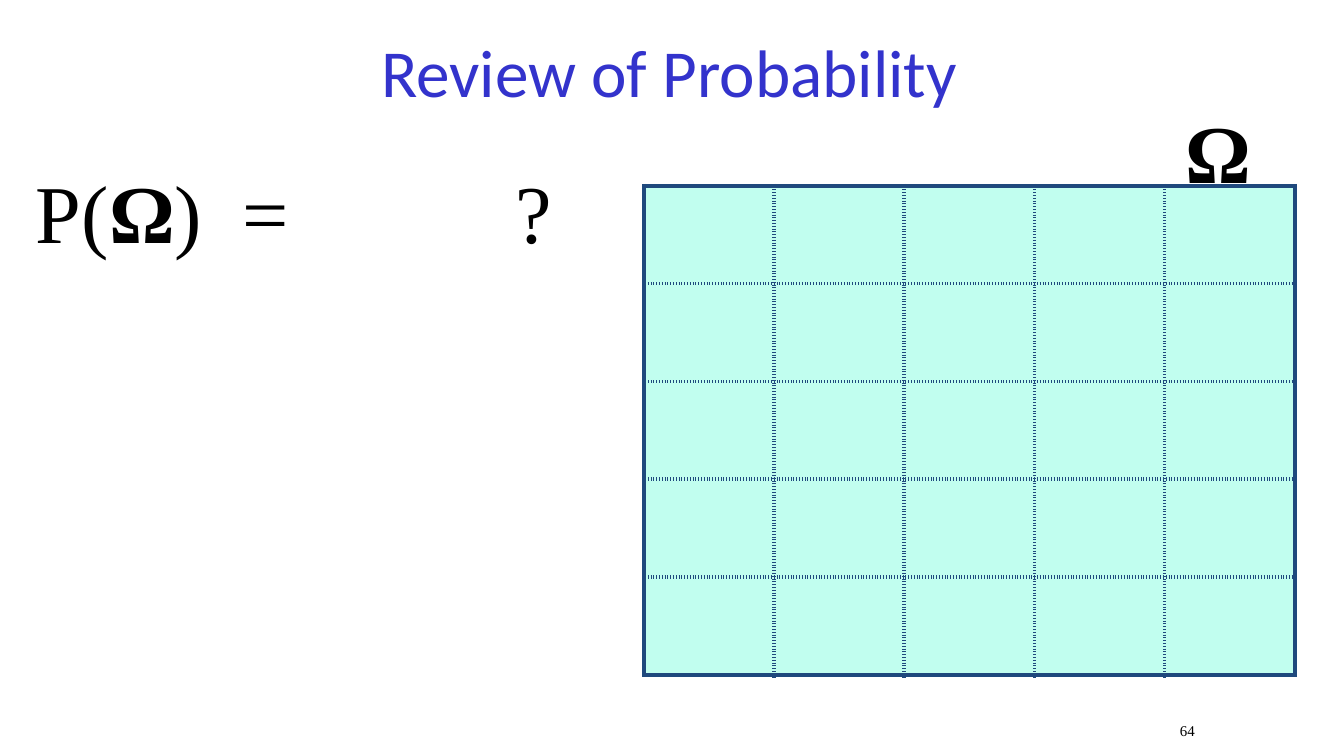
from lxml import etree
from pptx import Presentation
from pptx.dml.color import RGBColor
from pptx.enum import text
from pptx.oxml import ns
from pptx.util import Cm, Pt

BLACK = RGBColor(0x00, 0x00, 0x00)
TITLE_BLUE = RGBColor(0x33, 0x33, 0xCC)
GRID_BLUE = RGBColor(0x1F, 0x49, 0x7D)
MINT = RGBColor(0xC1, 0xFE, 0xEF)
SERIF = "Times New Roman"
SANS = "Calibri"
CENTER = text.PP_ALIGN.CENTER


def add_text(s, box, runs, size, font=SERIF, color=BLACK, align=None,
             anchor=text.MSO_ANCHOR.TOP, tabs=()):
    """Place one line of (text, bold) runs in box, with optional tab stops."""
    sp = s.shapes.add_textbox(*(Cm(v) for v in box))
    tf = sp.text_frame
    tf.word_wrap = True
    tf.vertical_anchor = anchor
    p = tf.paragraphs[0]
    if tabs:
        tab_list = etree.SubElement(p._p.get_or_add_pPr(), ns.qn("a:tabLst"))
        for pos in tabs:
            etree.SubElement(tab_list, ns.qn("a:tab"), pos=str(Cm(pos)), algn="l")
    if align is not None:
        p.alignment = align
    for words, bold in runs:
        r = p.add_run()
        r.text = words
        r.font.name, r.font.size, r.font.bold = font, Pt(size), bold
        r.font.color.rgb = color
    return tf


def add_title(s, box):
    tf = add_text(s, box, [("Review of Probability", False)], 36, SANS,
                  TITLE_BLUE, CENTER, text.MSO_ANCHOR.MIDDLE)
    tf.margin_left = tf.margin_top = tf.margin_bottom = Cm(0.1)
    tf.margin_right = Cm(0.2)


def set_borders(cell, solid):
    """Draw all four sides; those named in solid are plain, the rest dotted."""
    tc_pr = cell._tc.get_or_add_tcPr()
    for i, side in enumerate("LRTB"):
        ln = etree.Element(ns.qn(f"a:ln{side}"), w=str(Pt(2.25)))
        fill = etree.SubElement(ln, ns.qn("a:solidFill"))
        etree.SubElement(fill, ns.qn("a:srgbClr"), val=str(GRID_BLUE))
        dash = "solid" if side in solid else "dot"
        etree.SubElement(ln, ns.qn("a:prstDash"), val=dash)
        tc_pr.insert(i, ln)


def add_sample_space(s, box, n=5):
    """An n by n grid with a solid outline and dotted inner lines."""
    left, top, width, height = (Cm(v) for v in box)
    table = s.shapes.add_table(n, n, left, top, width, height).table
    table.first_row = table.horz_banding = False
    for col in table.columns:
        col.width = width // n
    for i, row in enumerate(table.rows):
        row.height = height // n
        for j, cell in enumerate(row.cells):
            cell.fill.solid()
            cell.fill.fore_color.rgb = MINT
            edges = {"L": j == 0, "R": j == n - 1, "T": i == 0, "B": i == n - 1}
            set_borders(cell, [side for side, outer in edges.items() if outer])


def main():
    prs = Presentation()
    prs.slide_width, prs.slide_height = Cm(25.4), Cm(14.29)
    s = prs.slides.add_slide(prs.slide_layouts[6])

    # Sample space label, title and grid
    add_text(s, (21.9, 1.8, 2.24, 1.73), [("Ω", True)], 44, align=CENTER)
    add_title(s, (1.9, 0, 21.6, 2.69))
    add_sample_space(s, (12.17, 3.51, 12.3, 9.25))

    # Question
    add_text(s, (0.43, 2.92, 11.96, 1.73),
             [("P(", False), ("Ω", True), (")\t=\t?", False)], 44,
             tabs=(3.91, 9.07))

    # Slide number
    add_text(s, (19.48, 13.51, 5.92, 0.76), [("64", False)], 8, align=CENTER)

    prs.save("out.pptx")


if __name__ == "__main__":
    main()
